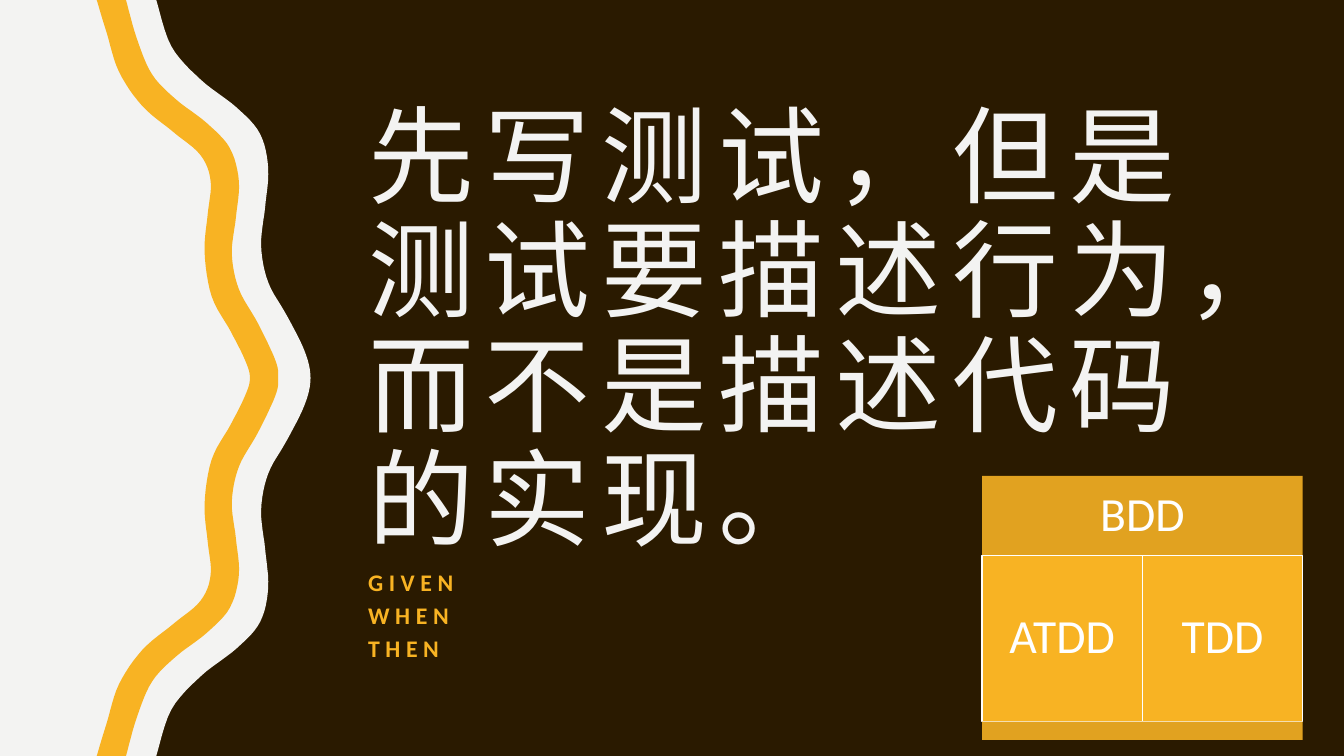
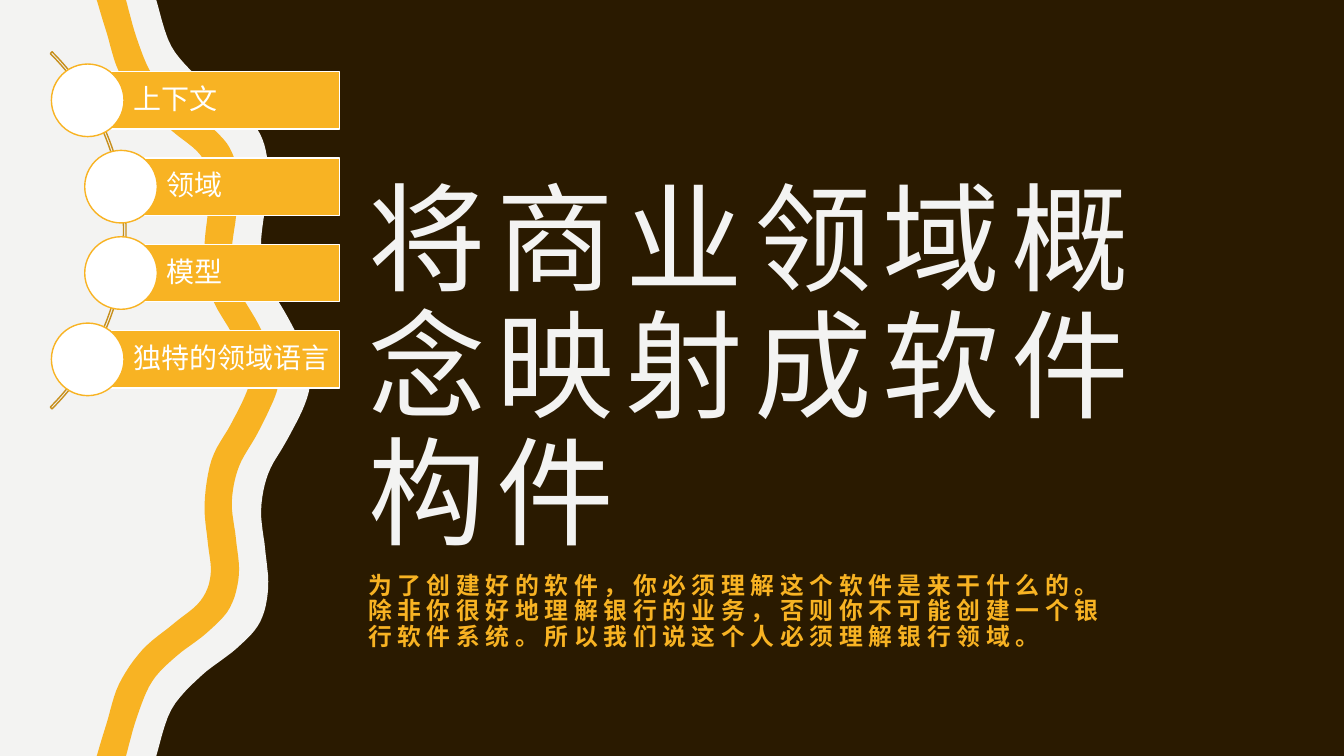
from itertools import pairwise

from pptx import Presentation
from pptx.dml.color import RGBColor
from pptx.enum import lang, shapes, text
from pptx.util import Inches, Pt

BROWN = RGBColor(0x2A, 0x1A, 0x00)
PALE = RGBColor(0xF3, 0xF3, 0xF2)
GOLD = RGBColor(0xF8, 0xB3, 0x23)
DARK_GOLD = RGBColor(0xE1, 0xA2, 0x20)
ARC_GOLD = RGBColor(0xC7, 0x8F, 0x1C)
WHITE = RGBColor(0xFF, 0xFF, 0xFF)

PAGE_WIDTH, PAGE_HEIGHT = 13.33, 7.5
UNITS_PER_INCH = 1000
CURVE_STEPS = 6
RECTANGLE = shapes.MSO_SHAPE.RECTANGLE

CHINESE = lang.MSO_LANGUAGE_ID.SIMPLIFIED_CHINESE
TITLE_FONT = {"name": "Arial Narrow", "bold": False, "language_id": CHINESE}
BODY_FONT = {"name": "Calibri", "size": Pt(17), "bold": True, "language_id": CHINESE}
LABEL_FONT = {"name": "Calibri", "language_id": CHINESE}

PANEL_EDGE = [
    (1.55, 0), (1.7, 0.46), (1.99, 0.79), (2.35, 1.07), (2.58, 1.33), (2.66, 1.67),
    (2.63, 2.05), (2.59, 2.44), (2.66, 2.8), (2.85, 3.14), (3.02, 3.48), (3.08, 3.75),
]
RIBBON_RIGHT = [
    (1.25, 0), (1.36, 0.39), (1.51, 0.74), (1.75, 0.99), (2.05, 1.22), (2.28, 1.47), (2.37, 1.8),
    (2.34, 2.16), (2.3, 2.52), (2.37, 2.87), (2.56, 3.21), (2.73, 3.57), (2.76, 3.75),
]
RIBBON_LEFT = [
    (0.96, 0), (1.06, 0.33), (1.18, 0.71), (1.41, 1.05), (1.72, 1.31), (1.99, 1.54), (2.09, 1.8),
    (2.06, 2.13), (2.03, 2.5), (2.1, 2.94), (2.29, 3.29), (2.43, 3.57), (2.48, 3.75),
]


def set_all(target, values):
    for name, value in values.items():
        setattr(target, name, value)


def place(shape, left, top, width, height):
    set_all(shape, {"left": Inches(left), "top": Inches(top),
                    "width": Inches(width), "height": Inches(height)})


def paint(shape, fill=None, line=None):
    shape.shadow.inherit = False
    if fill is None:
        shape.fill.background()
    else:
        shape.fill.solid()
        shape.fill.fore_color.rgb = fill
    if line is None:
        shape.line.fill.background()
    else:
        shape.line.color.rgb = line
        shape.line.width = Pt(1)


def write(para, words, font, color):
    span = para.add_run()
    span.text = words
    set_all(span.font, font)
    span.font.color.rgb = color


def mirrored(upper_half):
    lower_half = [(x, PAGE_HEIGHT - y) for x, y in reversed(upper_half[:-1])]
    return upper_half + lower_half


def slopes(values):
    last = len(values) - 1
    return [(values[min(i + 1, last)] - values[max(i - 1, 0)]) / 2 for i in range(last + 1)]


def smooth_values(values):
    points = []
    for (start, start_slope), (end, end_slope) in pairwise(zip(values, slopes(values))):
        for step in range(CURVE_STEPS):
            t = step / CURVE_STEPS
            points.append((2 * t**3 - 3 * t**2 + 1) * start + (t**3 - 2 * t**2 + t) * start_slope
                          + (3 * t**2 - 2 * t**3) * end + (t**3 - t**2) * end_slope)
    return points + [values[-1]]


def wave(upper_half):
    xs, ys = zip(*mirrored(upper_half))
    return list(zip(smooth_values(xs), smooth_values(ys)))


def add_outline(page, points, fill):
    units = [(round(x * UNITS_PER_INCH), round(y * UNITS_PER_INCH)) for x, y in points]
    builder = page.shapes.build_freeform(*units[0], scale=Inches(1) / UNITS_PER_INCH)
    builder.add_line_segments(units[1:], close=True)
    outline = builder.convert_to_shape()
    paint(outline, fill)
    return outline


def add_layout_wave(page):
    panel = [(0, 0)] + wave(PANEL_EDGE) + [(0, PAGE_HEIGHT)]
    ribbon = wave(RIBBON_RIGHT) + wave(RIBBON_LEFT)[::-1]
    tree = page.slide_layout.shapes.element
    for index, (points, fill) in enumerate(((panel, PALE), (ribbon, GOLD)), start=2):
        tree.insert(index, add_outline(page, points, fill).element)


def style_layout(layout):
    layout.background.fill.solid()
    layout.background.fill.fore_color.rgb = BROWN
    title, body = layout.placeholders[0], layout.placeholders[1]
    place(title, 3.55, 1.17, 8.95, 4.45)
    place(body, 3.55, 5.64, 7.67, 1.04)
    anchors = text.MSO_ANCHOR
    for holder, anchor, letter_gap in ((title, anchors.BOTTOM, Pt(8)), (body, anchors.TOP, Pt(4))):
        holder.text_frame.vertical_anchor = anchor
        style = holder.element.xpath(".//a:lvl1pPr/a:defRPr")[0]
        style.set("spc", str(letter_gap.centipoints))
        style.set("cap", "none")


def fill_placeholder(holder, lines, font, color, line_spacing):
    frame = holder.text_frame
    set_all(frame, {"word_wrap": True, "auto_size": text.MSO_AUTO_SIZE.NONE})
    for index, words in enumerate(lines):
        para = frame.add_paragraph() if index else frame.paragraphs[0]
        set_all(para, {"alignment": text.PP_ALIGN.LEFT, "line_spacing": line_spacing,
                       "space_before": Pt(7 if index else 0)})
        write(para, words, font, color)


def add_text_page(deck, layout, title, title_size, body_lines, body_spacing):
    page = deck.slides.add_slide(layout)
    fill_placeholder(page.shapes.title, [title], TITLE_FONT | {"size": Pt(title_size)}, PALE, 0.9)
    fill_placeholder(page.placeholders[1], body_lines, BODY_FONT, GOLD, body_spacing)
    return page


def add_box(page, kind, bounds, fill=None, line=None):
    box = page.shapes.add_shape(kind, *(Inches(length) for length in bounds))
    paint(box, fill, line)
    return box


def label(box, words, size, align, margin, left_margin):
    frame = box.text_frame
    set_all(frame, {"word_wrap": True, "vertical_anchor": text.MSO_ANCHOR.MIDDLE,
                    "margin_left": Inches(left_margin), "margin_right": Inches(margin),
                    "margin_top": Inches(margin), "margin_bottom": Inches(margin)})
    para = frame.paragraphs[0]
    set_all(para, {"alignment": align, "line_spacing": 0.9})
    write(para, words, LABEL_FONT | {"size": Pt(size)}, WHITE)


def add_method_blocks(page):
    left, top, width = 9.74, 4.72, 3.18
    rows = [
        (["BDD"], 0.79, DARK_GOLD, None),
        (["ATDD", "TDD"], 1.65, GOLD, WHITE),
        ([""], 0.18, DARK_GOLD, None),
    ]
    for names, height, fill, line in rows:
        block_width = width / len(names)
        for column, words in enumerate(names):
            bounds = (left + column * block_width, top, block_width, height)
            block = add_box(page, RECTANGLE, bounds, fill, line)
            if words:
                label(block, words, 34, text.PP_ALIGN.CENTER, 0.14, 0.14)
        top += height


def add_concept_arc(page, concepts):
    arc = add_box(page, shapes.MSO_SHAPE.BLOCK_ARC, (-3.76, -0.22, 5.01, 5.01), line=ARC_GOLD)
    for index, value in enumerate((189, 27, 0.005)):
        arc.adjustments[index] = value
    first_top, last_top = 0.71, 3.28
    outer_left, inner_left, right = 0.87, 1.2, 3.37
    bar_height, circle_size = 0.57, 0.72
    last = len(concepts) - 1
    for index, words in enumerate(concepts):
        top = first_top + (last_top - first_top) * index / last
        left = outer_left if index in (0, last) else inner_left
        bar = add_box(page, RECTANGLE, (left, top, right - left, bar_height), GOLD, WHITE)
        label(bar, words, 20, text.PP_ALIGN.LEFT, 0.06, 0.45)
        circle_left = left - circle_size / 2
        circle_top = top + (bar_height - circle_size) / 2
        add_box(page, shapes.MSO_SHAPE.OVAL,
                (circle_left, circle_top, circle_size, circle_size), WHITE, GOLD)


def main():
    deck = Presentation()
    set_all(deck, {"slide_width": Inches(PAGE_WIDTH), "slide_height": Inches(PAGE_HEIGHT)})
    layout = deck.slide_layouts.get_by_name("Section Header")
    style_layout(layout)

    behaviour = add_text_page(
        deck, layout, "先写测试，但是测试要描述行为，而不是描述代码的实现。", 75.6,
        ["GIVEN", "WHEN", "THEN"], 0.8)
    add_layout_wave(behaviour)
    add_method_blocks(behaviour)

    domain = add_text_page(
        deck, layout, "将商业领域概念映射成软件构件", 84,
        ["为了创建好的软件，你必须理解这个软件是来干什么的。除非你很好地理解银行的业务，"
         "否则你不可能创建一个银行软件系统。所以我们说这个人必须理解银行领域。"], 0.9)
    add_concept_arc(domain, ["上下文", "领域", "模型", "独特的领域语言"])

    deck.save("out.pptx")


if __name__ == "__main__":
    main()
